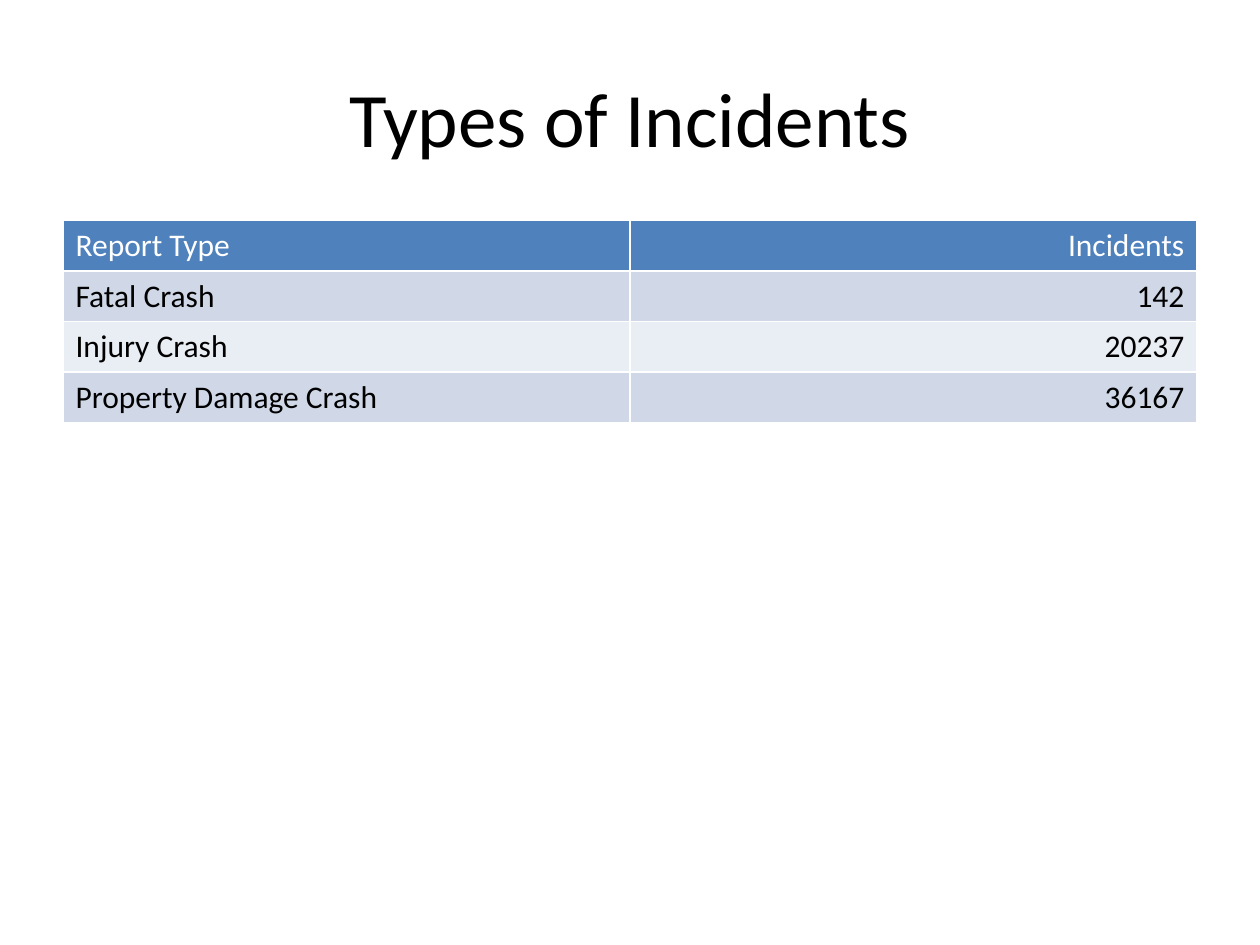
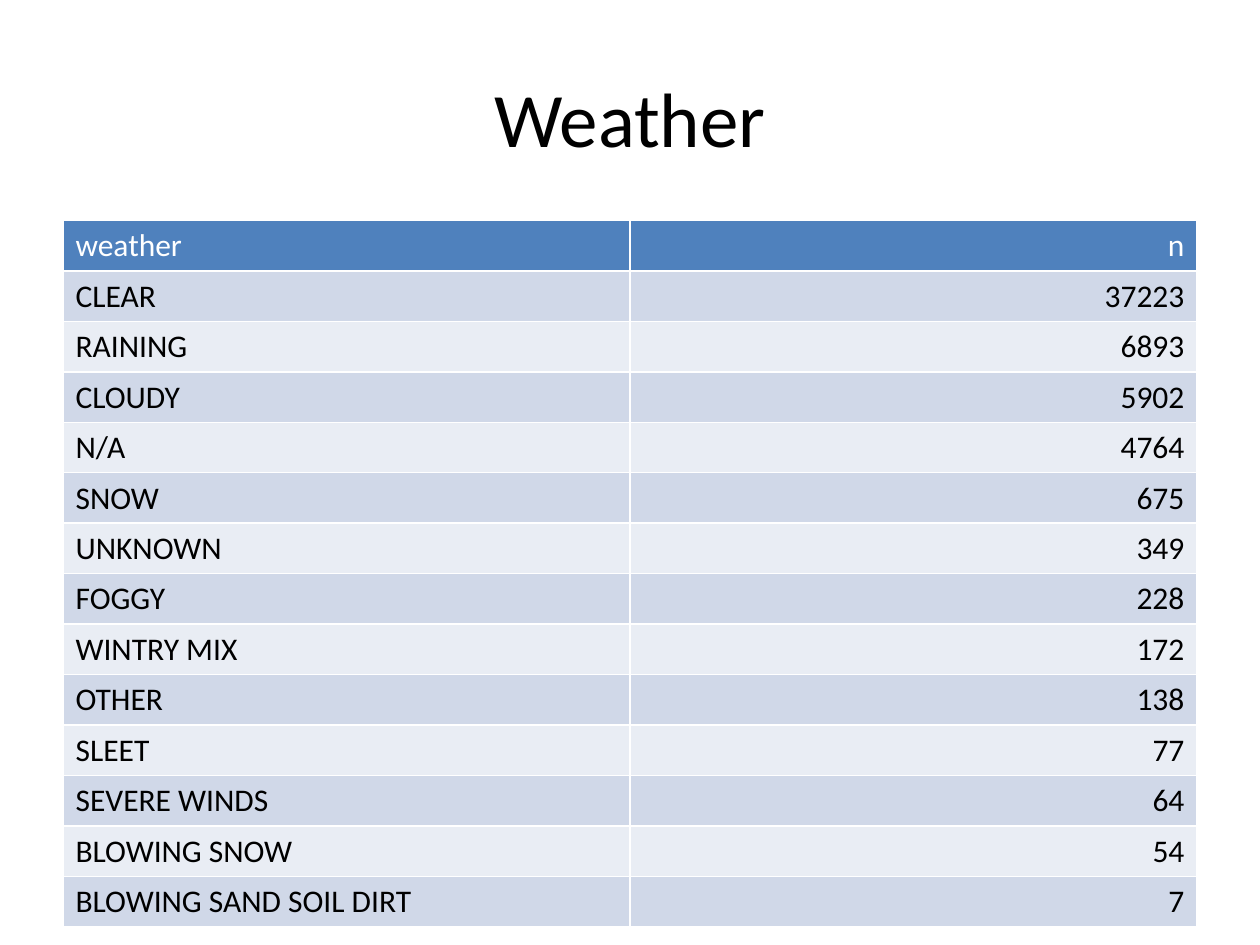
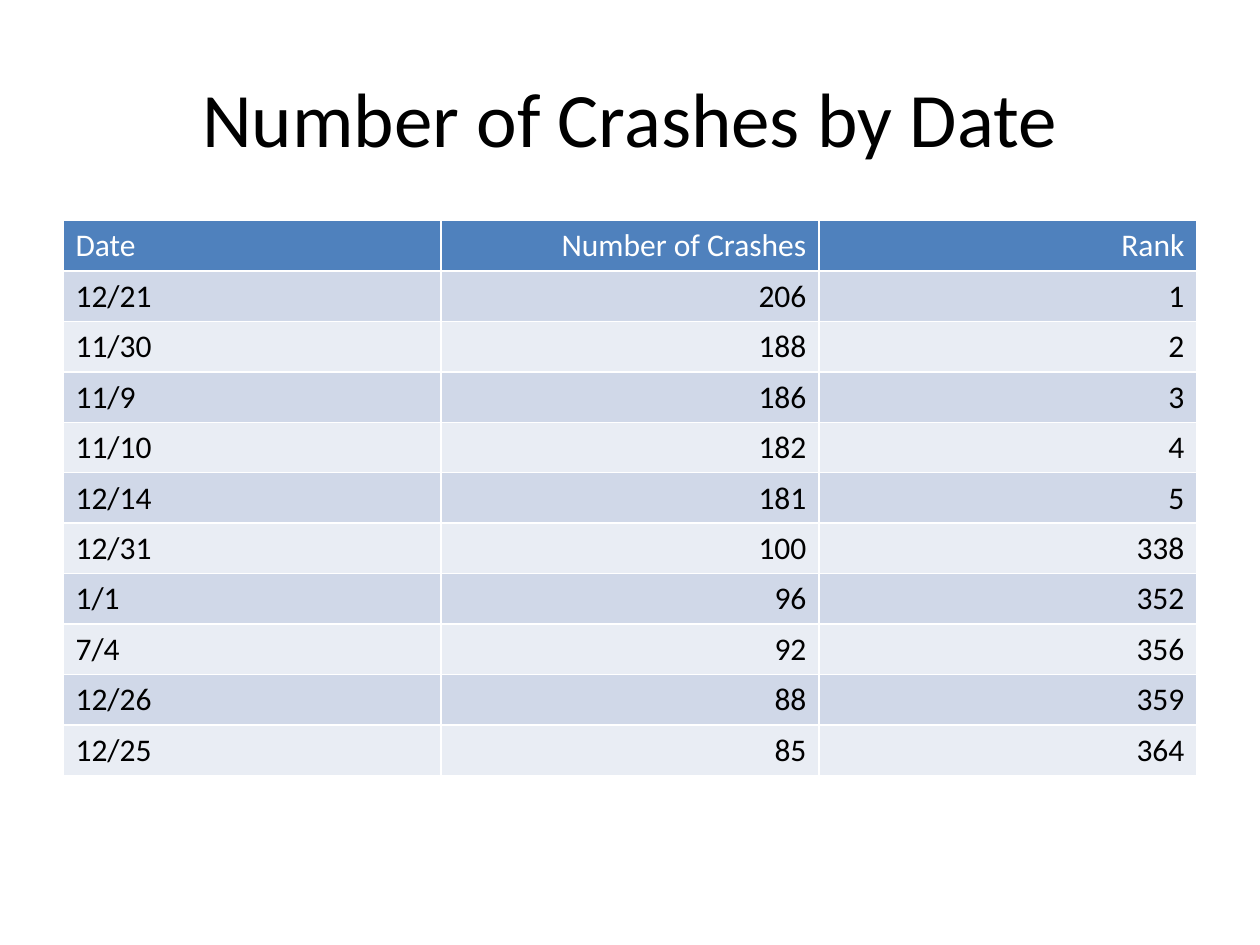
from dataclasses import dataclass

from pptx import Presentation
from pptx.dml.color import RGBColor
from pptx.enum import text
from pptx.slide import Slide
from pptx.text.text import _Paragraph as Paragraph
from pptx.util import Inches, Pt

FONT = "Calibri"
BLACK = RGBColor(0x00, 0x00, 0x00)
WHITE = RGBColor(0xFF, 0xFF, 0xFF)
HEADER_BLUE = RGBColor(0x4F, 0x81, 0xBD)
BAND_DARK = RGBColor(0xD0, 0xD8, 0xE8)
BAND_LIGHT = RGBColor(0xE9, 0xED, 0xF4)

MARGIN = Inches(0.5)
CONTENT_WIDTH = Inches(9)
TITLE_TOP = Inches(0.3)
TITLE_HEIGHT = Inches(1.25)
TABLE_TOP = Inches(1.75)
ROW_HEIGHT = Inches(0.4)


@dataclass(frozen=True)
class TablePage:
    title: str
    header: tuple[str, ...]
    records: tuple[tuple[str | int, ...], ...]


PAGES = (
    TablePage(
        "Types of Incidents",
        ("Report Type", "Incidents"),
        (
            ("Fatal Crash", 142),
            ("Injury Crash", 20237),
            ("Property Damage Crash", 36167),
        ),
    ),
    TablePage(
        "Weather",
        ("weather", "n"),
        (
            ("CLEAR", 37223),
            ("RAINING", 6893),
            ("CLOUDY", 5902),
            ("N/A", 4764),
            ("SNOW", 675),
            ("UNKNOWN", 349),
            ("FOGGY", 228),
            ("WINTRY MIX", 172),
            ("OTHER", 138),
            ("SLEET", 77),
            ("SEVERE WINDS", 64),
            ("BLOWING SNOW", 54),
            ("BLOWING SAND SOIL DIRT", 7),
        ),
    ),
    TablePage(
        "Number of Crashes by Date",
        ("Date", "Number of Crashes", "Rank"),
        (
            ("12/21", 206, 1),
            ("11/30", 188, 2),
            ("11/9", 186, 3),
            ("11/10", 182, 4),
            ("12/14", 181, 5),
            ("12/31", 100, 338),
            ("1/1", 96, 352),
            ("7/4", 92, 356),
            ("12/26", 88, 359),
            ("12/25", 85, 364),
        ),
    ),
)


def write_text(
    para: Paragraph, words: str, size: int, color: RGBColor, align: text.PP_ALIGN
) -> None:
    para.text = words
    para.alignment = align
    for span in para.runs:
        span.font.name = FONT
        span.font.size = Pt(size)
        span.font.bold = False
        span.font.color.rgb = color


def add_title(page: Slide, title: str) -> None:
    box = page.shapes.add_textbox(MARGIN, TITLE_TOP, CONTENT_WIDTH, TITLE_HEIGHT)
    frame = box.text_frame
    frame.word_wrap = True
    frame.vertical_anchor = text.MSO_ANCHOR.MIDDLE
    write_text(frame.paragraphs[0], title, 44, BLACK, text.PP_ALIGN.CENTER)


def row_colors(row: int) -> tuple[RGBColor, RGBColor]:
    if row == 0:
        return HEADER_BLUE, WHITE
    return (BAND_DARK if row % 2 else BAND_LIGHT), BLACK


def add_data_table(page: Slide, content: TablePage) -> None:
    lines = (content.header, *content.records)
    table = page.shapes.add_table(
        len(lines), len(content.header),
        MARGIN, TABLE_TOP, CONTENT_WIDTH, ROW_HEIGHT * len(lines),
    ).table
    for row, values in enumerate(lines):
        fill_color, font_color = row_colors(row)
        for column, value in enumerate(values):
            cell = table.cell(row, column)
            cell.fill.solid()
            cell.fill.fore_color.rgb = fill_color
            align = text.PP_ALIGN.RIGHT if column else text.PP_ALIGN.LEFT
            write_text(cell.text_frame.paragraphs[0], str(value), 18, font_color, align)


def main() -> None:
    deck = Presentation()
    deck.slide_width = Inches(10)
    deck.slide_height = Inches(7.5)
    for content in PAGES:
        page = deck.slides.add_slide(deck.slide_layouts[6])
        add_title(page, content.title)
        add_data_table(page, content)
    deck.save("out.pptx")


if __name__ == "__main__":
    main()
